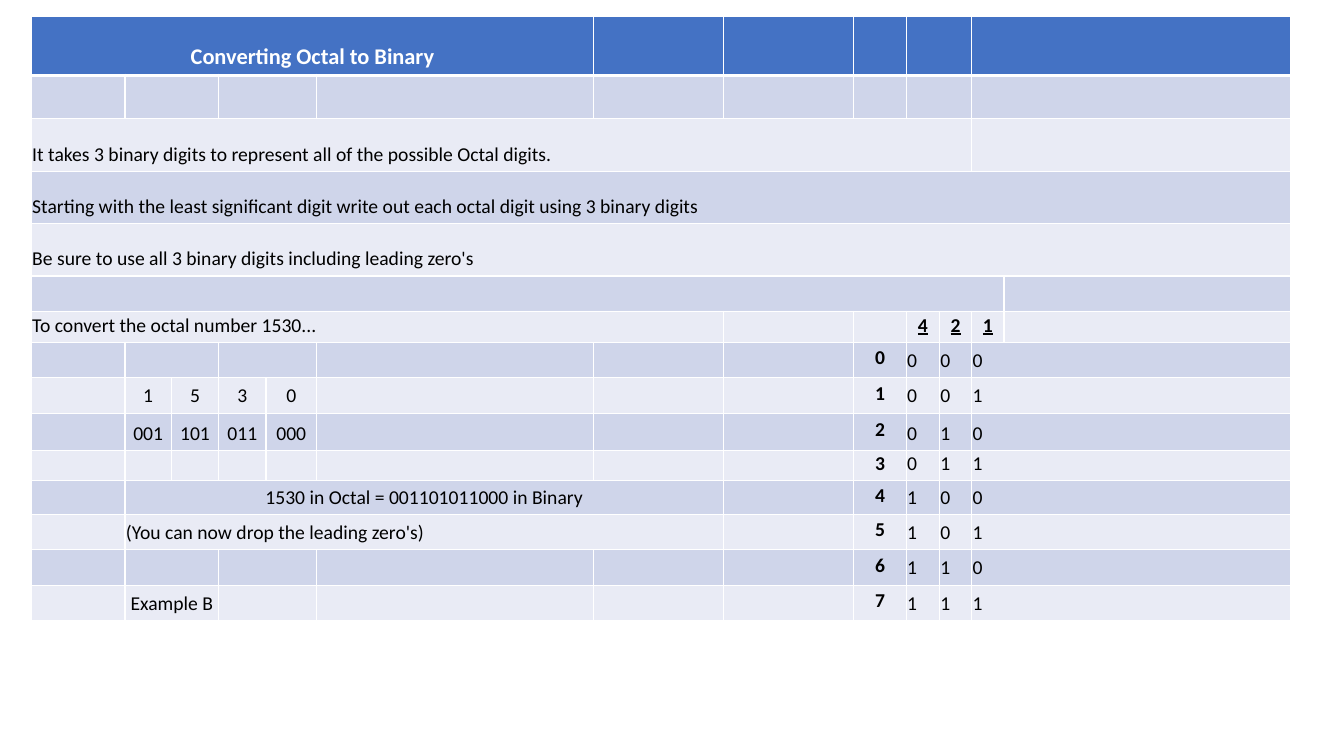
from lxml.etree import SubElement
from pptx import Presentation
from pptx.dml.color import RGBColor
from pptx.enum.text import MSO_ANCHOR, PP_ALIGN
from pptx.oxml import parse_xml
from pptx.oxml.ns import nsdecls, qn
from pptx.util import Inches, Pt

HEADER_BLUE = RGBColor(0x44, 0x72, 0xC4)
DARK_BAND = RGBColor(0xCF, 0xD5, 0xEA)
LIGHT_BAND = RGBColor(0xE9, 0xEB, 0xF5)
WHITE = RGBColor(0xFF, 0xFF, 0xFF)
BLACK = RGBColor(0x00, 0x00, 0x00)

COLUMN_WIDTHS = [0.93, 0.46, 0.47, 0.47, 0.5, 2.75, 1.29, 1.29,
                 0.52, 0.33, 0.32, 0.32, 2.84]
ROW_HEIGHTS = [0.59, 0.43, 0.52, 0.52, 0.52, 0.35, 0.31, 0.35,
               0.35, 0.37, 0.29, 0.34, 0.35, 0.35, 0.35]

# Each cell is (text, columns spanned, style).
EMPTY = ("", 1, "left")
EMPTY_PAIR = ("", 2, "left")
PAIRED_ROW = [EMPTY, EMPTY_PAIR, EMPTY_PAIR] + [EMPTY] * 3


def digit_row(digits):
    """Return the worked example's cells, one per octal digit."""
    return [EMPTY] + [(digit, 1, "center") for digit in digits] + [EMPTY] * 3


INTRO_ROWS = [
    [("Converting Octal to Binary", 6, "title")] + [EMPTY] * 3 + [EMPTY_PAIR] * 2,
    PAIRED_ROW + [EMPTY] + [EMPTY_PAIR] * 2,
    [("It takes 3 binary digits to represent all of the possible Octal digits.",
      11, "left"), EMPTY_PAIR],
    [("Starting with the least significant digit write out each octal digit "
      "using 3 binary digits", 13, "left")],
    [("Be sure to use all 3 binary digits including leading zero's", 13, "left")],
    [("", 12, "left"), EMPTY],
    [("To convert the octal number 1530...", 7, "left"), EMPTY, EMPTY]
    + [(weight, 1, "weight") for weight in "421"] + [EMPTY],
]
EXAMPLE_ROWS = [
    PAIRED_ROW,
    digit_row("1530"),
    digit_row(["001", "101", "011", "000"]),
    digit_row([""] * 4),
    [EMPTY, ("1530 in Octal = 001101011000 in Binary", 6, "center"), EMPTY],
    [EMPTY, ("(You can now drop the leading zero's)", 6, "left"), EMPTY],
    PAIRED_ROW,
    [EMPTY, ("Example B", 2, "center"), EMPTY_PAIR] + [EMPTY] * 3,
]


def octal_cells(value):
    """Return an octal digit followed by its three binary digits."""
    high, middle, low = format(value, "03b")
    return [(str(value), 1, "octal"), (high, 1, "left"),
            (middle, 1, "left"), (low, 2, "left")]


def set_borders(cell, bottom_width):
    """Draw white borders round a cell."""
    properties = cell._tc.get_or_add_tcPr()
    widths = {"lnL": 1, "lnR": 1, "lnT": 1, "lnB": bottom_width}
    for index, (side, width) in enumerate(widths.items()):
        properties.insert(index, parse_xml(
            f'<a:{side} {nsdecls("a")} w="{Pt(width)}"><a:solidFill>'
            f'<a:srgbClr val="{WHITE}"/></a:solidFill></a:{side}>'))


def format_cell(cell, color, is_header):
    """Fill a cell and set its borders and margins."""
    cell.fill.solid()
    cell.fill.fore_color.rgb = color
    set_borders(cell, 3 if is_header else 1)
    cell.margin_left = cell.margin_right = cell.margin_top = Inches(0.01)
    cell.margin_bottom = Inches(0.05)


def write_cell(cell, text, style):
    """Write a cell's text in the named style."""
    cell.vertical_anchor = (MSO_ANCHOR.MIDDLE if style == "octal"
                            else MSO_ANCHOR.BOTTOM)
    para = cell.text_frame.paragraphs[0]
    para.text = text
    para.alignment = PP_ALIGN.LEFT if style == "left" else PP_ALIGN.CENTER
    font = para.font
    font.name = "Calibri"
    font.size = Pt(16 if style == "title" else 14)
    font.bold = style in ("title", "weight", "octal")
    font.underline = style == "weight"
    font.color.rgb = WHITE if style == "title" else BLACK
    if not text:
        SubElement(para._p, qn("a:endParaRPr"), sz="1400")


deck = Presentation()
deck.slide_width, deck.slide_height = Inches(13.33), Inches(7.5)
page = deck.slides.add_slide(deck.slide_layouts[6])
table = page.shapes.add_table(
    len(ROW_HEIGHTS), len(COLUMN_WIDTHS), Inches(0.31), Inches(0.16),
    Inches(sum(COLUMN_WIDTHS)), Inches(sum(ROW_HEIGHTS))).table
for column, width in zip(table.columns, COLUMN_WIDTHS):
    column.width = Inches(width)
for row, height in zip(table.rows, ROW_HEIGHTS):
    row.height = Inches(height)

rows = INTRO_ROWS + [example + octal_cells(value)
                     for value, example in enumerate(EXAMPLE_ROWS)]
for row_index, cells in enumerate(rows):
    is_header = row_index == 0
    band = DARK_BAND if row_index % 2 else LIGHT_BAND
    for cell in table.rows[row_index].cells:
        format_cell(cell, HEADER_BLUE if is_header else band, is_header)
    start = 0
    for text, span, style in cells:
        cell = table.cell(row_index, start)
        if span > 1:
            cell.merge(table.cell(row_index, start + span - 1))
        write_cell(cell, text, style)
        start += span

deck.save("out.pptx")
